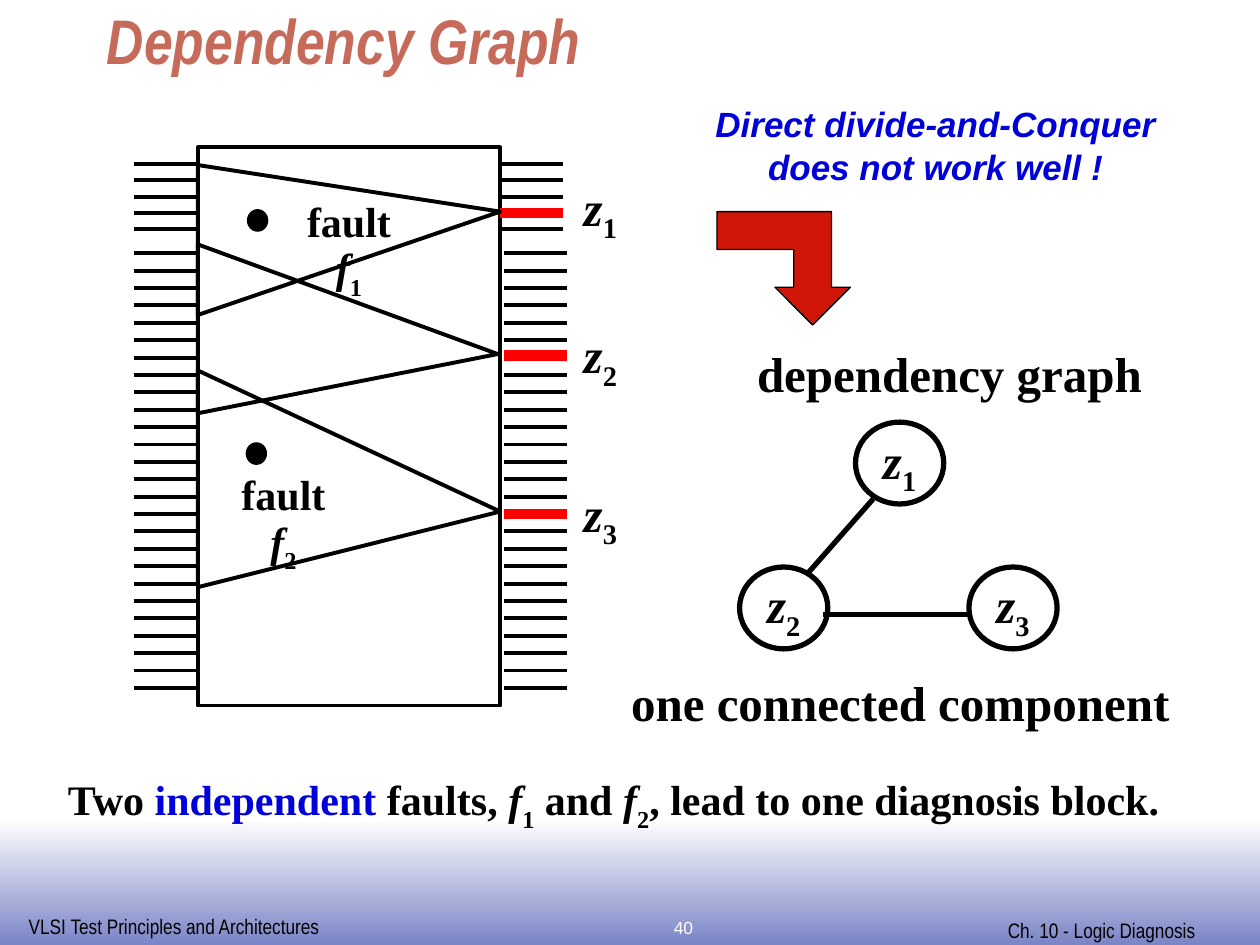
from pptx import Presentation
from pptx.dml.color import RGBColor as RGB
from pptx.enum.shapes import MSO_CONNECTOR as Connector, MSO_SHAPE as Shape
from pptx.enum.text import MSO_ANCHOR as Anchor, PP_ALIGN as Align
from pptx.oxml.ns import qn
from pptx.util import Inches, Pt
from lxml import etree

THEME = {
    "black": "000000", "white": "FFFFFF", "red": "FF0000", "blue": "0000D8",
    "title": "C66B5A", "arrow": "D01608", "footer": "7B84C6",
    "sans": "Arial", "narrow": "Arial Narrow", "serif": "Times New Roman",
    "title_size": 36, "label_size": 28, "body_size": 24, "remark_size": 20,
    "footer_size": 12, "number_size": 10,
    "thin": 0.75, "normal": 2.25, "graph": 3, "output": 6,
}


def style(font, size, color="black", **more):
    return {"name": THEME[font], "size": Pt(THEME[size]), "color": color, **more}


TITLE = style("narrow", "title_size", "title", bold=True, italic=True)
LABEL = style("serif", "label_size", bold=True)
BODY = style("serif", "body_size", bold=True)
REMARK = style("sans", "remark_size", "blue", bold=True, italic=True)
FOOTER = style("narrow", "footer_size")
NUMBER = style("sans", "number_size", "white")
ITALIC = {"italic": True}


def symbol(letter, index, drop):
    """Runs for an italic letter with a lowered index."""
    return [(letter, ITALIC), (index, {"baseline": drop})]


def z(index):
    return [symbol("z", index, -25)]


def fault(index):
    return [[("fault ", {}), *symbol("f", index, -30)]]


def plain(*lines):
    return [[(line, {})] for line in lines]


CONCLUSION = [[
    ("Two ", {}), ("independent", {"color": "blue"}), (" faults, ", {}),
    *symbol("f", "1", -30), (" and ", {}), *symbol("f", "2", -30),
    (", lead to one diagnosis block.", {}),
]]

# Text boxes: box, paragraphs of runs, style, layout
CENTER = {"align": Align.CENTER}
TIGHT = {**CENTER, "spacing": 0.8}
TEXTS = [
    ((0.13, 7.2, 2.53, 0.3), plain("VLSI Test Principles and Architectures"), FOOTER, {"wrap": True}),
    ((7.9, 7.23, 1.96, 0.3), plain("Ch. 10 - Logic Diagnosis"), FOOTER, {"wrap": True}),
    ((4.26, 7.23, 2.33, 0.27), plain("40"), NUMBER, CENTER),
    ((0.75, 0, 8.5, 0.66), plain("Dependency Graph"), TITLE, {"anchor": Anchor.BOTTOM, "wrap": True}),
    ((4.91, 5.38, 4.47, 0.47), plain("one connected component"), LABEL, TIGHT),
    ((1.73, 3.75, 1.04, 0.8), fault("2"), BODY, {**TIGHT, "wrap": True}),
    ((2.25, 1.58, 1.04, 0.8), fault("1"), BODY, {**TIGHT, "wrap": True}),
    ((0.43, 6.09, 8.88, 0.57), CONCLUSION, BODY, CENTER),
    ((5.91, 2.68, 3.25, 0.57), plain("dependency graph"), LABEL, {}),
    ((5.38, 0.83, 4.09, 0.71), plain("Direct divide-and-Conquer", "does not work well !"),
     REMARK, {**TIGHT, "before": 5, "wrap": True}),
]

# Circuit: pin banks as (top, pitch, count, right start, {output row: height})
LEFT_START, PIN_LENGTH = 1.06, 0.5
PIN_BANKS = [
    (1.3, 0.13, 5, 3.97, {3: 1.69}),
    (2.01, 0.138, 26, 4, {6: 2.82, 15: 4.08}),
]
OUTPUT_LABELS = {"1": 1.36, "2": 2.53, "3": 3.79}
CONES = [  # apex, then top and bottom of the base
    ((3.97, 1.68), 1.31, 2.5),
    ((3.97, 4.06), 2.94, 4.66),
    ((3.95, 2.81), 1.94, 3.28),
]
CONE_BASE = 1.57
FAULT_DOTS = [(1.96, 1.66), (1.95, 3.51)]
ARROW = [(6.45, 2.58), (6.15, 2.28), (6.3, 2.28), (6.3, 1.98), (5.69, 1.98),
         (5.69, 1.68), (6.6, 1.68), (6.6, 2.28), (6.75, 2.28)]

# Dependency graph
NODES = {"1": (6.79, 3.35), "2": (5.87, 4.5), "3": (7.69, 4.5)}
EDGES = [((6.93, 3.96), (6.42, 4.54)), ((6.53, 4.88), (7.69, 4.88))]

presentation = Presentation()
presentation.slide_width, presentation.slide_height = Inches(10), Inches(7.5)
slide = presentation.slides.add_slide(presentation.slide_layouts[6])
shapes = slide.shapes


def color_of(name):
    return RGB.from_string(THEME[name])


def paint(shape, fill=None, width=None):
    shape.shadow.inherit = False
    if fill:
        shape.fill.solid()
        shape.fill.fore_color.rgb = color_of(fill)
    else:
        shape.fill.background()
    if width:
        shape.line.color.rgb = color_of("black")
        shape.line.width = Pt(THEME[width])
    else:
        shape.line.fill.background()


def add_preset(kind, box, fill, width=None):
    shape = shapes.add_shape(kind, *map(Inches, box))
    paint(shape, fill, width)
    return shape


def add_outline(points, fill, width):
    corners = [(Inches(x), Inches(y)) for x, y in points]
    builder = shapes.build_freeform(*corners[0])
    builder.add_line_segments(corners[1:], close=True)
    paint(builder.convert_to_shape(), fill, width)


def add_line(start, end, color="black", width="normal"):
    line = shapes.add_connector(Connector.STRAIGHT, *map(Inches, (*start, *end)))
    line.line.color.rgb = color_of(color)
    line.line.width = Pt(THEME[width])
    etree.SubElement(line._element.spPr, qn("a:effectLst"))


def write(shape, paragraphs, base, align=Align.LEFT, spacing=None, before=0,
          wrap=False, anchor=Anchor.TOP):
    frame = shape.text_frame
    frame.word_wrap, frame.vertical_anchor = wrap, anchor
    for number, runs in enumerate(paragraphs):
        paragraph = frame.add_paragraph() if number else frame.paragraphs[0]
        paragraph.alignment = align
        if spacing:
            paragraph.line_spacing = spacing
        if number:
            paragraph.space_before = Pt(before)
        for text, changes in runs:
            run = paragraph.add_run()
            run.text = text
            for key, value in {**base, **changes}.items():
                if key == "color":
                    run.font.color.rgb = color_of(value)
                elif key == "baseline":
                    run._r.get_or_add_rPr().set("baseline", str(value * 1000))
                else:
                    setattr(run.font, key, value)


def add_text(box, paragraphs, base, layout):
    write(shapes.add_textbox(*map(Inches, box)), paragraphs, base, **layout)


# Footer band
band = add_preset(Shape.RECTANGLE, (0, 6.5, 10, 1), "white")
band.fill.gradient()
band.fill.gradient_angle = 270
for stop, name, position in zip(band.fill.gradient_stops, ("white", "footer"), (0, 1)):
    stop.color.rgb, stop.position = color_of(name), position

# Dependency graph
for index, corner in NODES.items():
    node = add_preset(Shape.OVAL, (*corner, 0.7, 0.65), "white", "graph")
    write(node, z(index), LABEL, **TIGHT, anchor=Anchor.MIDDLE)
for start, end in EDGES:
    add_line(start, end, width="graph")

# Circuit block with its pins
add_preset(Shape.RECTANGLE, (1.57, 1.17, 2.4, 4.43), "white", "normal")
for top, pitch, count, right_start, outputs in PIN_BANKS:
    for row in range(count):
        y = top + row * pitch
        add_line((LEFT_START, y), (LEFT_START + PIN_LENGTH, y))
        y = outputs.get(row, y)
        kind = ("red", "output") if row in outputs else ("black", "normal")
        add_line((right_start, y), (right_start + PIN_LENGTH, y), *kind)
for index, top in OUTPUT_LABELS.items():
    add_text((4.53, top, 0.47, 0.63), z(index), LABEL, CENTER)

# Fault cones and fault sites
for apex, top, bottom in CONES:
    add_outline([apex, (CONE_BASE, top), (CONE_BASE, bottom)], None, "normal")
for corner in FAULT_DOTS:
    add_preset(Shape.OVAL, (*corner, 0.17, 0.18), "black")

# Bent arrow and wording
add_outline(ARROW, "arrow", "thin")
for text in TEXTS:
    add_text(*text)

presentation.save("out.pptx")
